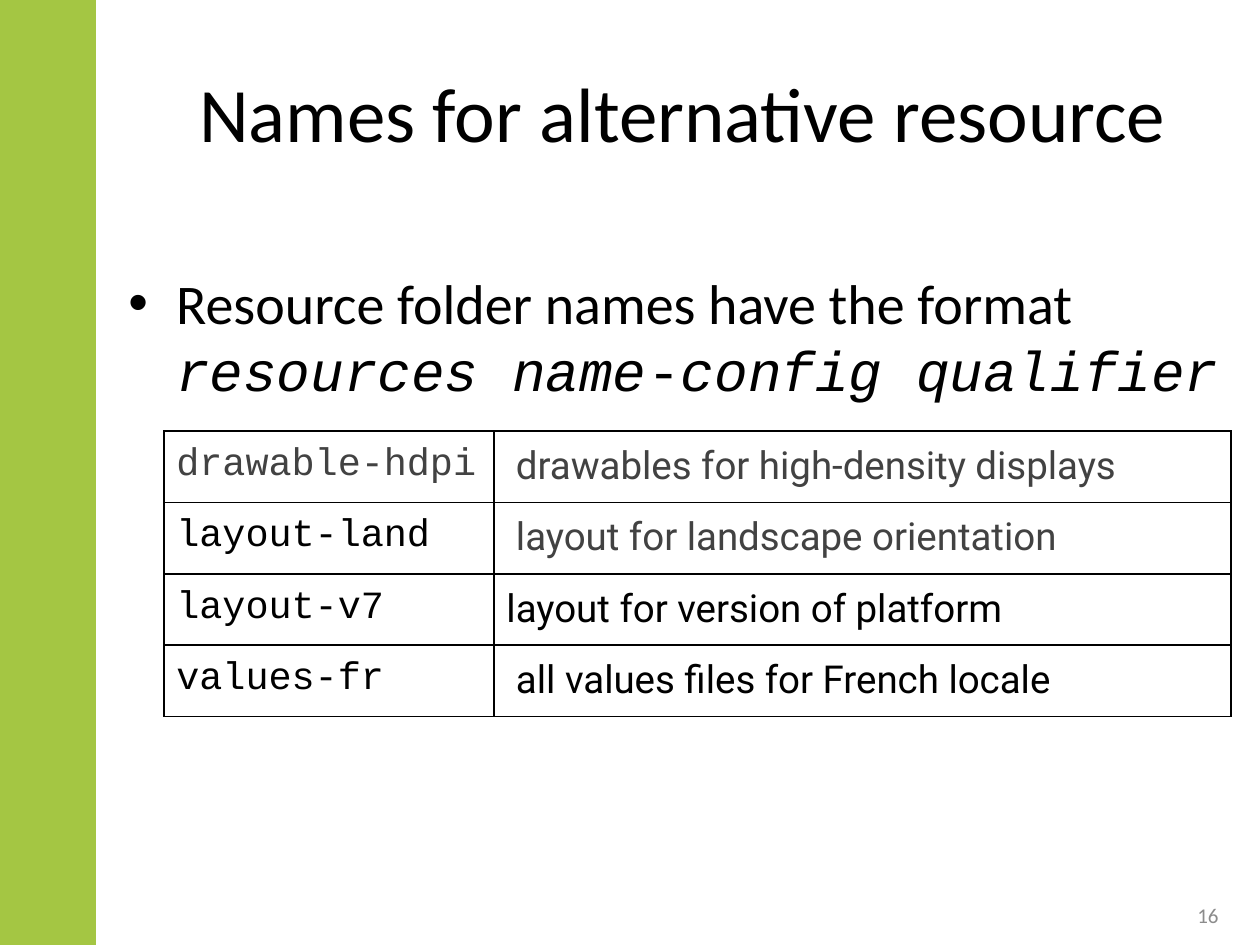
from lxml.etree import SubElement
from pptx import Presentation
from pptx.dml.color import RGBColor
from pptx.enum.shapes import MSO_SHAPE
from pptx.enum.text import MSO_ANCHOR, PP_ALIGN
from pptx.oxml.ns import qn
from pptx.util import Inches, Pt

HUES = {"green": "A4C643", "black": "000000", "dark": "424242",
        "gray": "8C8C8C", "white": "FFFFFF"}
SANS, MONO, TABLE = "Calibri", "Courier New", "Roboto"


def hue(name):
    return RGBColor.from_string(HUES[name])


class Deck:
    """Holds the style and the current slide."""

    def __init__(self):
        self.prs = Presentation()
        self.prs.slide_width, self.prs.slide_height = Inches(10), Inches(7.5)
        self.slide = self.prs.slides.add_slide(self.prs.slide_layouts[5])

    def run(self, para, text, size, face=SANS, color="black", slant=False):
        run = para.add_run()
        run.text = text
        font = run.font
        font.size, font.name, font.italic = Pt(size), face, slant
        font.color.rgb = hue(color)

    def band(self, *box):
        band = self.slide.shapes.add_shape(
            MSO_SHAPE.RECTANGLE, *map(Inches, box))
        band.shadow.inherit = False
        band.fill.solid()
        band.fill.fore_color.rgb = band.line.color.rgb = hue("green")
        band.line.width = Pt(2)

    def title(self, text, *box):
        title = self.slide.shapes.title
        title.left, title.top, title.width, title.height = map(Inches, box)
        title.text_frame.vertical_anchor = MSO_ANCHOR.MIDDLE
        para = title.text_frame.paragraphs[0]
        para.alignment = PP_ALIGN.CENTER
        self.run(para, text, 44)

    def text(self, *box, anchor=MSO_ANCHOR.TOP):
        frame = self.slide.shapes.add_textbox(*map(Inches, box)).text_frame
        frame.word_wrap = True
        frame.vertical_anchor = anchor
        return frame.paragraphs[0]

    def bullet(self, lead, parts, *box):
        para = self.text(*box)
        props = para._p.get_or_add_pPr()
        props.set("marL", str(Inches(0.38)))
        props.set("indent", str(Inches(-0.38)))
        SubElement(props, qn("a:buFont"), typeface="Arial")
        SubElement(props, qn("a:buChar"), char="•")
        self.run(para, lead, 32)
        para.add_line_break()
        for part, slant in parts:
            self.run(para, part, 32, MONO, slant=slant)

    def number(self, text, *box):
        para = self.text(*box, anchor=MSO_ANCHOR.MIDDLE)
        para.alignment = PP_ALIGN.RIGHT
        self.run(para, text, 12, color="gray")

    def border(self, cell):
        props = cell._tc.get_or_add_tcPr()
        for side in ("lnL", "lnR", "lnT", "lnB"):
            line = SubElement(props, qn(f"a:{side}"), w=str(Pt(1)))
            fill = SubElement(line, qn("a:solidFill"))
            SubElement(fill, qn("a:srgbClr"), val=HUES["black"])

    def table(self, rows, left, top, widths, step):
        box = left, top, sum(widths), step * len(rows)
        table = self.slide.shapes.add_table(
            len(rows), len(widths), *map(Inches, box)).table
        table.first_row = table.horz_banding = False
        for col, width in zip(table.columns, widths):
            col.width = Inches(width)
        for row, items in zip(table.rows, rows):
            row.height = Inches(step)
            for cell, (text, color), face in zip(row.cells, items, (MONO, TABLE)):
                self.border(cell)
                cell.fill.solid()
                cell.fill.fore_color.rgb = hue("white")
                cell.margin_left = cell.margin_right = Inches(0.1)
                cell.margin_top = cell.margin_bottom = Inches(0.1)
                self.run(cell.text_frame.paragraphs[0], text, 22, face, color)


def main():
    deck = Deck()
    deck.band(0, 0.01, 0.75, 7.5)
    deck.title("Names for alternative resource", 0.92, 0.26, 9, 1.25)
    deck.bullet("Resource folder names have the format",
                [("resources name", True), ("-", False),
                 ("config qualifier", True)],
                0.92, 2.08, 9, 1.2)
    deck.number("16", 7.44, 7.06, 2.33, 0.4)
    rows = [
        (("drawable-hdpi", "dark"),
         (" drawables for high-density displays", "dark")),
        (("layout-land", "black"),
         (" layout for landscape orientation", "dark")),
        (("layout-v7", "black"),
         ("layout for version of platform", "black")),
        (("values-fr", "black"),
         (" all values files for French locale", "black")),
    ]
    deck.table(rows, 1.3, 3.42, (2.62, 5.85), 0.56)
    deck.prs.save("out.pptx")


if __name__ == "__main__":
    main()
